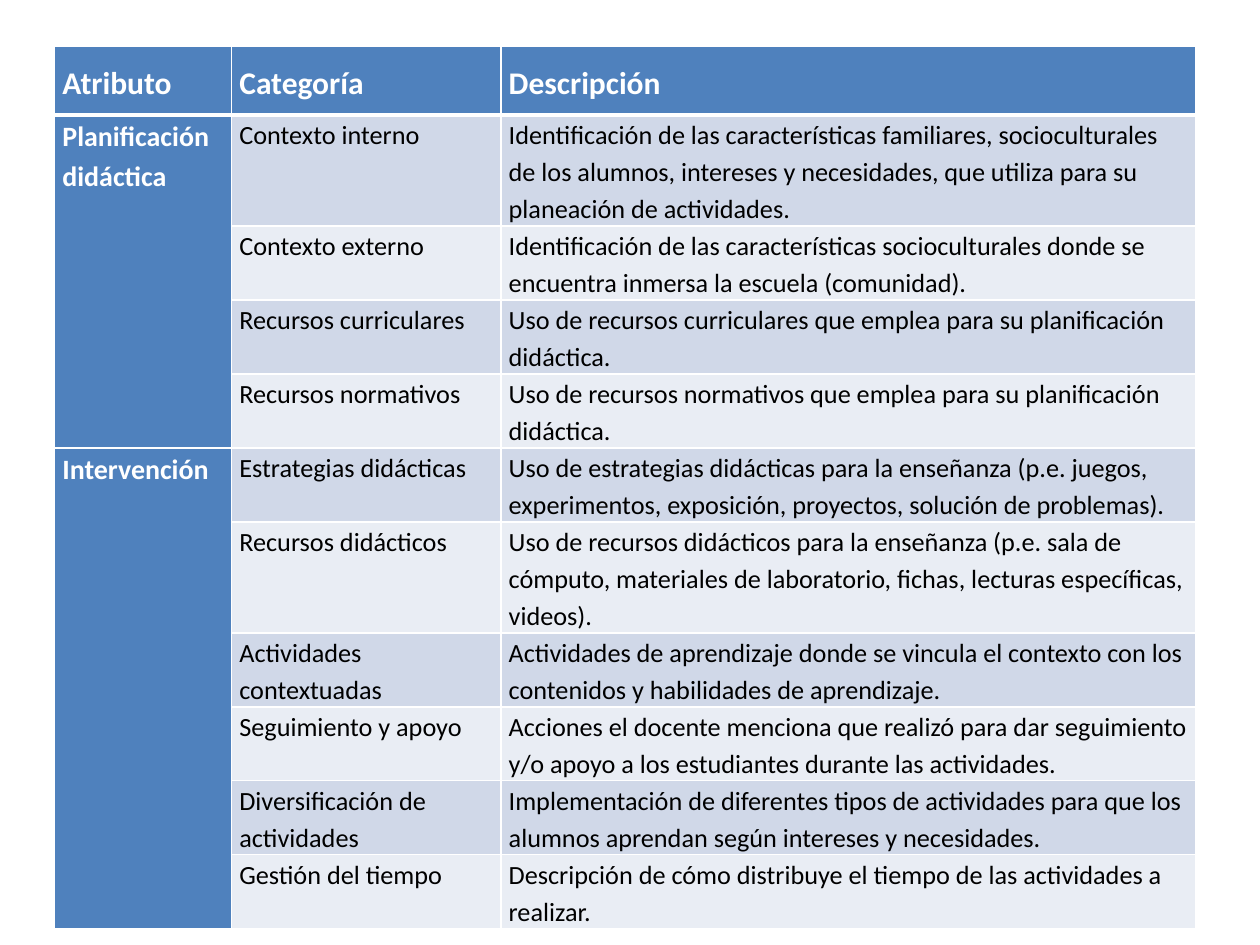
from lxml import etree
from pptx import Presentation
from pptx.dml.color import RGBColor
from pptx.enum.text import MSO_ANCHOR
from pptx.oxml.ns import qn
from pptx.util import Pt

BLUE = RGBColor(0x4F, 0x81, 0xBD)
DARK = RGBColor(0xD0, 0xD8, 0xE8)
LIGHT = RGBColor(0xE9, 0xED, 0xF4)
WHITE = RGBColor(0xFF, 0xFF, 0xFF)
BLACK = RGBColor(0, 0, 0)
TOP, MIDDLE = MSO_ANCHOR.TOP, MSO_ANCHOR.MIDDLE

FONT = "Calibri"
BLANK = 6
HEAD_H, LINE_H = 39.6, 20.7
SHARES = (0.155, 0.236, 0.609)

HEADS = ("Atributo", "Categoría", "Descripción")
# Each attribute holds its rows: category, description, lines of text
GROUPS = (
    ("Planificación didáctica", (
        ("Contexto interno",
         "Identificación de las características familiares, socioculturales "
         "de los alumnos, intereses y necesidades, que utiliza para su "
         "planeación de actividades.", 3),
        ("Contexto externo",
         "Identificación de las características socioculturales donde se "
         "encuentra inmersa la escuela (comunidad).", 2),
        ("Recursos curriculares",
         "Uso de recursos curriculares que emplea para su planificación "
         "didáctica.", 2),
        ("Recursos normativos",
         "Uso de recursos normativos que emplea para su planificación "
         "didáctica.", 2),
    )),
    ("Intervención", (
        ("Estrategias didácticas",
         "Uso de estrategias didácticas para la enseñanza (p.e. juegos, "
         "experimentos, exposición, proyectos, solución de problemas).", 2),
        ("Recursos didácticos",
         "Uso de recursos didácticos para la enseñanza (p.e. sala de "
         "cómputo, materiales de laboratorio, fichas, lecturas específicas, "
         "videos).", 3),
        ("Actividades contextuadas",
         "Actividades de aprendizaje donde se vincula el contexto con los "
         "contenidos y habilidades de aprendizaje.", 2),
        ("Seguimiento y apoyo",
         "Acciones el docente menciona que realizó para dar seguimiento y/o "
         "apoyo a los estudiantes durante las actividades.", 2),
        ("Diversificación de actividades",
         "Implementación de diferentes tipos de actividades para que los "
         "alumnos aprendan según intereses y necesidades.", 2),
        ("Gestión del tiempo",
         "Descripción de cómo distribuye el tiempo de las actividades a "
         "realizar.", 2),
    )),
)


def add_edges(cell, top, base):
    """Draw white cell borders; top and base are widths in points."""
    props = cell._tc.get_or_add_tcPr()
    for side, width in zip("LRTB", (1, 1, top, base)):
        line = etree.SubElement(props, qn(f"a:ln{side}"), w=str(Pt(width)))
        fill = etree.SubElement(line, qn("a:solidFill"))
        etree.SubElement(fill, qn("a:srgbClr"), val=str(WHITE))


def style_cell(cell, back, top=1, base=1):
    add_edges(cell, top, base)
    cell.fill.solid()
    cell.fill.fore_color.rgb = back
    cell.margin_left = cell.margin_right = Pt(4.5)
    cell.margin_top = cell.margin_bottom = 0


def write_cell(cell, text, size, color, bold, anchor=TOP):
    cell.text_frame.text = text
    cell.vertical_anchor = anchor
    for para in cell.text_frame.paragraphs:
        para.line_spacing = 1.15
        for run in para.runs:
            font = run.font
            font.name, font.size, font.bold = FONT, Pt(size), bold
            font.color.rgb = color


def fill_head(table):
    table.rows[0].height = Pt(HEAD_H)
    for col, text in enumerate(HEADS):
        cell = table.cell(0, col)
        style_cell(cell, BLUE, base=3)
        write_cell(cell, text, 18, WHITE, True, MIDDLE)


def fill_group(table, first, name, items):
    """Fill the rows of one attribute, from row first on."""
    for row, (label, about, lines) in enumerate(items, first):
        table.rows[row].height = Pt(lines * LINE_H)
        top = 3 if row == 1 else 1
        style_cell(table.cell(row, 0), BLUE, top)
        for col, text in enumerate((label, about), 1):
            cell = table.cell(row, col)
            style_cell(cell, DARK if row % 2 else LIGHT, top)
            write_cell(cell, text, 15, BLACK, False)
    head = table.cell(first, 0)
    head.merge(table.cell(first + len(items) - 1, 0))
    write_cell(head, name, 16, WHITE, True)


def add_grid(slide, left, top, width, height):
    count = 1 + sum(len(items) for _, items in GROUPS)
    frame = slide.shapes.add_table(
        count, len(HEADS), Pt(left), Pt(top), Pt(width), Pt(height))
    table = frame.table
    for column, share in zip(table.columns, SHARES):
        column.width = Pt(width * share)
    fill_head(table)
    first = 1
    for name, items in GROUPS:
        fill_group(table, first, name, items)
        first += len(items)


def main():
    deck = Presentation()
    deck.slide_width, deck.slide_height = Pt(720), Pt(540)
    slide = deck.slides.add_slide(deck.slide_layouts[BLANK])
    add_grid(slide, 31.2, 26.2, 652.3, 495.2)
    deck.save("out.pptx")


if __name__ == "__main__":
    main()
